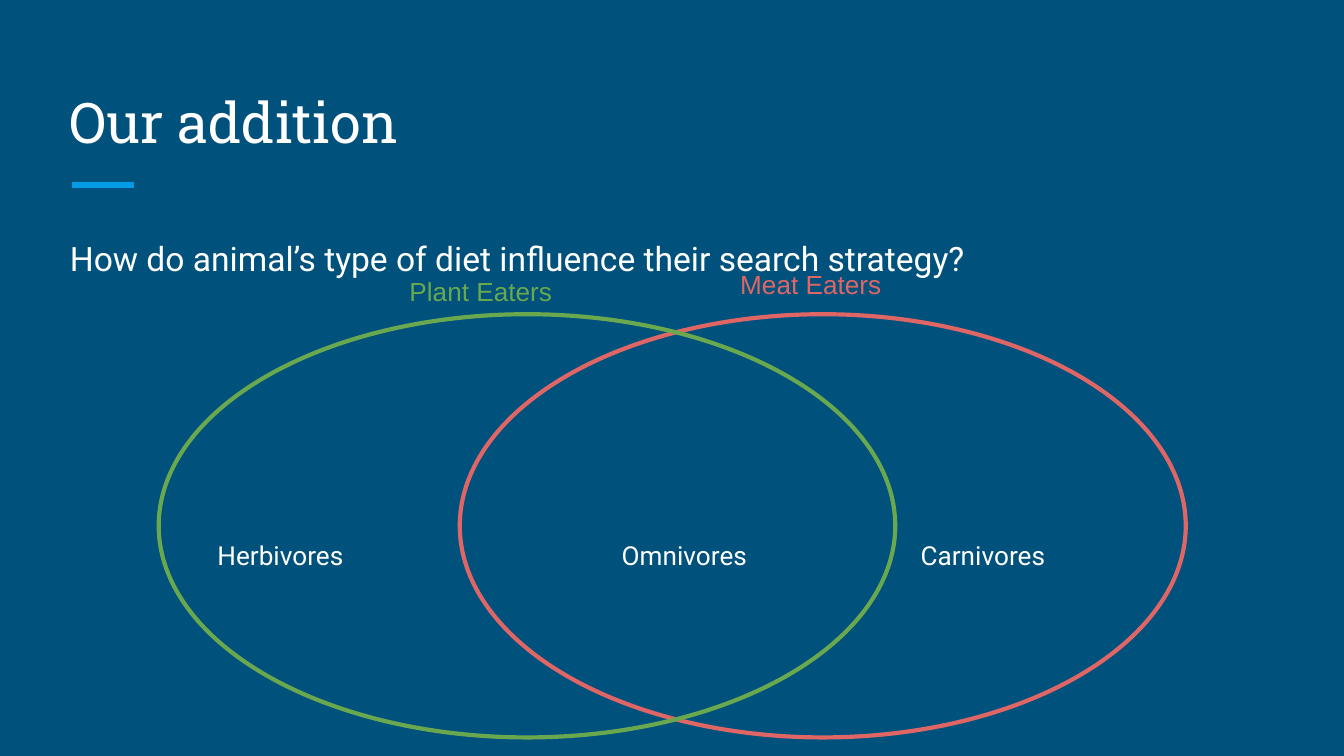
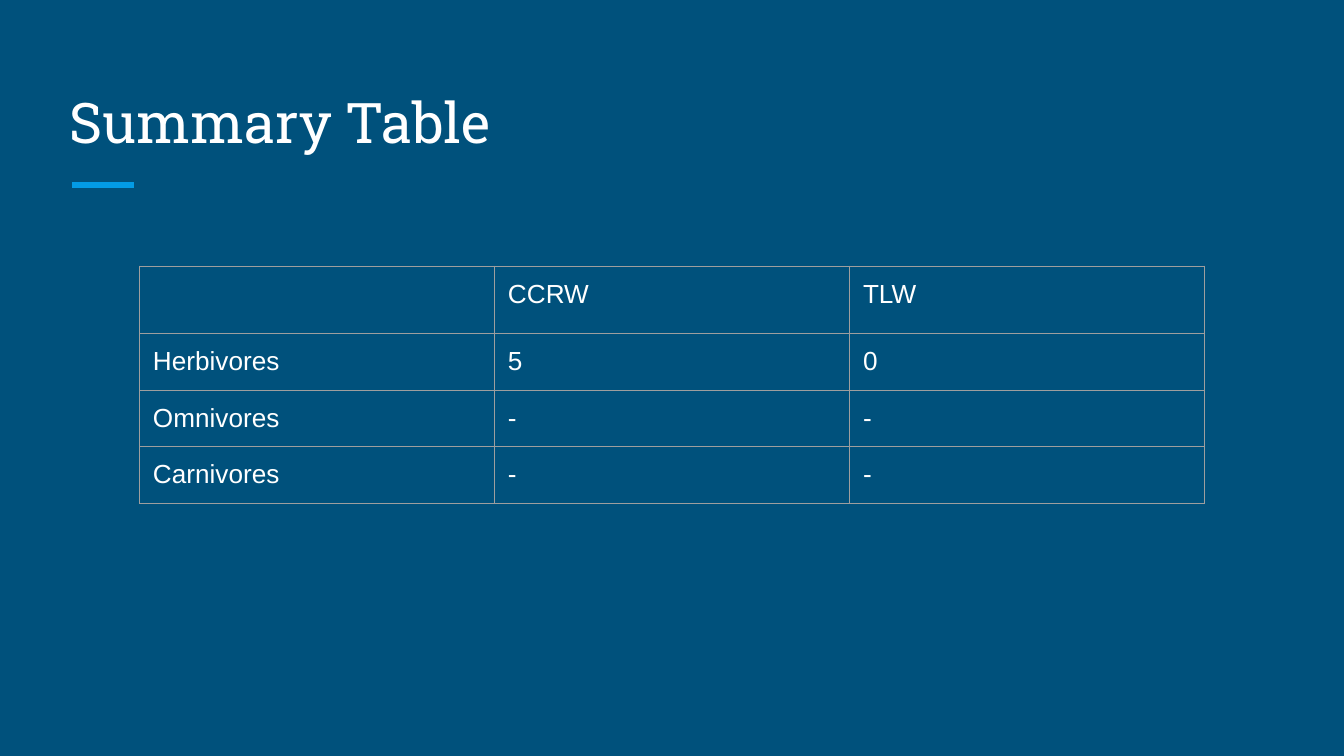
from lxml import etree
from pptx import Presentation
from pptx import util as u
from pptx.dml.color import RGBColor
from pptx.enum import shapes, text
from pptx.oxml import ns

NAVY = RGBColor(0x00, 0x51, 0x7C)
SKY = RGBColor(0x03, 0x9B, 0xE5)
WHITE = RGBColor(0xFF, 0xFF, 0xFF)
GREEN = RGBColor(0x6A, 0xA8, 0x4F)
RED = RGBColor(0xE0, 0x66, 0x66)
GREY = RGBColor(0x9E, 0x9E, 0x9E)
HEAD_FONT, BODY_FONT, LABEL_FONT = "Roboto Slab", "Roboto", "Arial"
INSET = u.Cm(0.25)

TITLE_BOX = (1.07, 1.27, 23.24, 1.9)
BODY_BOX = (1.07, 4.14, 23.24, 8.56)
VENN_BOX = (3, 5.94, 19.41, 8)
TABLE_BOX = (2.64, 5.03, 20.13, 4.42)
HEADER_H = 1.21


def sub(parent, tag, **attrs):
    return etree.SubElement(parent, ns.qn(tag), attrs)


def place(sp, box):
    sp.left, sp.top, sp.width, sp.height = (u.Cm(v) for v in box)


def set_text(tf, words, font, size, color, anchor=text.MSO_ANCHOR.TOP, spacing=1.0):
    tf.word_wrap = True
    tf.auto_size = text.MSO_AUTO_SIZE.NONE
    tf.vertical_anchor = anchor
    tf.margin_left = tf.margin_right = tf.margin_top = tf.margin_bottom = INSET
    p = tf.paragraphs[0]
    p.text = words
    p.alignment = text.PP_ALIGN.LEFT
    p.line_spacing = spacing
    p.space_before = u.Pt(0)
    for r in p.runs:
        r.font.name = font
        r.font.size = u.Pt(size)
        r.font.color.rgb = color
    return p


def add_label(s, box, words, font, color, **kw):
    sp = s.shapes.add_textbox(*(u.Cm(v) for v in box))
    return set_text(sp.text_frame, words, font, 14, color, **kw)


def add_heading(s, words, box):
    place(s.shapes.title, box)
    set_text(s.shapes.title.text_frame, words, HEAD_FONT, 30, WHITE,
             anchor=text.MSO_ANCHOR.BOTTOM)
    x, y = box[0] + 0.3, box[1] + box[3] + 0.33
    rule = s.shapes.add_connector(shapes.MSO_CONNECTOR.STRAIGHT,
                                  u.Cm(x), u.Cm(y), u.Cm(x + 1.17), u.Cm(y))
    rule.line.color.rgb = SKY
    rule.line.width = u.Pt(3)
    sub(rule._element.spPr, "a:effectLst")


def add_question(s, words, box):
    body = s.placeholders[1]
    place(body, box)
    p = set_text(body.text_frame, words, BODY_FONT, 18, WHITE, spacing=1.15)
    p.space_after = u.Pt(12)
    pPr = p._p.get_or_add_pPr()
    pPr.set("marL", "0")
    pPr.set("indent", "0")
    sub(pPr, "a:buNone")


def add_ellipse(s, box, color):
    sp = s.shapes.add_shape(shapes.MSO_SHAPE.OVAL, *(u.Cm(v) for v in box))
    sp.shadow.inherit = False
    sp.fill.background()
    sp.line.color.rgb = color
    sp.line.width = u.Pt(2.25)


def add_venn(s, box):
    x, y, w, h = box
    mid = dict(anchor=text.MSO_ANCHOR.MIDDLE, spacing=1.15)
    add_ellipse(s, (x + w - 13.72, y, 13.72, h), RED)
    add_label(s, (x + 14.15, y + 3.38, 4.62, 2.26), "Carnivores", BODY_FONT, WHITE, **mid)
    add_ellipse(s, (x, y, 13.92, h), GREEN)
    p = add_label(s, (x + 0.86, y + 3.38, 12.09, 2.26), "Herbivores\tOmnivores",
                  BODY_FONT, WHITE, **mid)
    tabs = sub(p._p.get_or_add_pPr(), "a:tabLst")
    sub(tabs, "a:tab", pos=str(u.Cm(7.64)), algn="l")
    add_label(s, (x + 4.49, y - 0.99, 3.61, 1.12), "Plant Eaters", LABEL_FONT, GREEN)
    add_label(s, (x + 10.74, y - 1.11, 3.61, 1.12), "Meat Eaters", LABEL_FONT, RED)


def style_cell(cell, words):
    cell.margin_left = cell.margin_right = cell.margin_top = cell.margin_bottom = INSET
    p = cell.text_frame.paragraphs[0]
    p.text = words
    for r in p.runs:
        r.font.name = LABEL_FONT
        r.font.size = u.Pt(14)
        r.font.color.rgb = WHITE
    tcPr = cell._tc.get_or_add_tcPr()
    for side in ("a:lnL", "a:lnR", "a:lnT", "a:lnB"):
        ln = sub(tcPr, side, w=str(u.Pt(0.75)))
        sub(sub(ln, "a:solidFill"), "a:srgbClr", val=str(GREY))
    cell.fill.background()


def add_summary(s, rows, box):
    n, m = len(rows), len(rows[0])
    table = s.shapes.add_table(n, m, *(u.Cm(v) for v in box)).table
    table.first_row = table.horz_banding = False
    for col in table.columns:
        col.width = u.Cm(box[2] / m)
    for i, row in enumerate(rows):
        table.rows[i].height = u.Cm((box[3] - HEADER_H) / (n - 1) if i else HEADER_H)
        for j, words in enumerate(row):
            style_cell(table.cell(i, j), words)


def venn_slide(prs):
    s = prs.slides.add_slide(prs.slide_layouts[1])
    add_heading(s, "Our addition", TITLE_BOX)
    add_question(s, "How do animal’s type of diet influence their search strategy?", BODY_BOX)
    add_venn(s, VENN_BOX)


def table_slide(prs):
    s = prs.slides.add_slide(prs.slide_layouts[5])
    add_heading(s, "Summary Table", TITLE_BOX)
    add_summary(s, [
        ["", "CCRW", "TLW"],
        ["Herbivores", "5", "0"],
        ["Omnivores", "-", "-"],
        ["Carnivores", "-", "-"],
    ], TABLE_BOX)


def main():
    prs = Presentation()
    prs.slide_width, prs.slide_height = u.Cm(25.4), u.Cm(14.29)
    fill = prs.slide_master.background.fill
    fill.solid()
    fill.fore_color.rgb = NAVY
    venn_slide(prs)
    table_slide(prs)
    prs.save("out.pptx")


if __name__ == "__main__":
    main()
